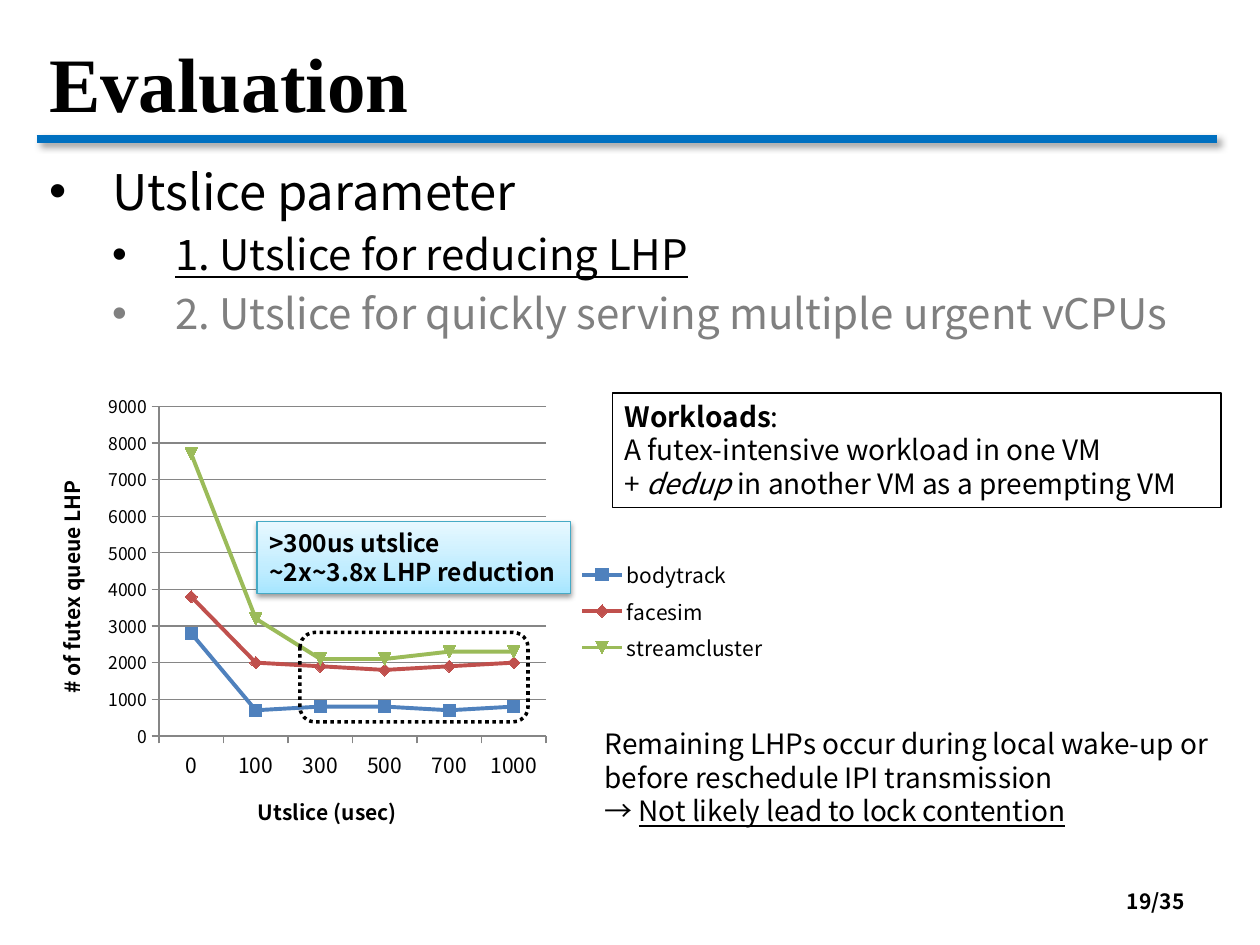
from lxml.etree import SubElement
from pptx import Presentation
from pptx.chart.data import CategoryChartData
from pptx.dml.color import RGBColor
from pptx.enum.chart import XL_CHART_TYPE, XL_LEGEND_POSITION, XL_TICK_MARK
from pptx.enum.dml import MSO_LINE
from pptx.enum.shapes import MSO_CONNECTOR, MSO_SHAPE
from pptx.enum.text import MSO_ANCHOR, MSO_AUTO_SIZE, PP_ALIGN
from pptx.oxml import parse_xml
from pptx.oxml.ns import qn
from pptx.util import Pt

SANS, SERIF = "Noto Sans CJK KR", "Times New Roman"
DRAWING = "http://schemas.openxmlformats.org/drawingml/2006/main"
BLACK, GREY, AXIS = "000000", "808080", "868686"


def color(value):
    return RGBColor.from_string(value)


def points(*lengths):
    return [Pt(length) for length in lengths]


def format_font(font, size, face=SANS, ink=BLACK, bold=False):
    font.size, font.name, font.bold = Pt(size), face, bold
    font.color.rgb = color(ink)


def add_text(paragraph, text, underline=False, italic=False, face=SANS, **style):
    run = paragraph.add_run()
    run.text = text
    format_font(run.font, face=face, **style)
    run.font.underline, run.font.italic = underline, italic
    SubElement(run.font._element, qn("a:ea"), typeface=face)


def fill_lines(frame, lines, **style):
    """Each line is a list of (text, own format) pairs."""
    for number, line in enumerate(lines):
        paragraph = frame.paragraphs[0] if number == 0 else frame.add_paragraph()
        paragraph.alignment = PP_ALIGN.LEFT
        for text, own in line:
            add_text(paragraph, text, **{**style, **own})


def set_shadow(shape, alpha=0, blur=0, distance=0, angle=0):
    """Without an alpha the shape gets no shadow."""
    effects = SubElement(shape._element.spPr, qn("a:effectLst"))
    if alpha:
        shadow = SubElement(effects, qn("a:outerShdw"), blurRad=str(Pt(blur)),
                            dist=str(Pt(distance)), dir=str(angle * 60000),
                            algn="ctr", rotWithShape="0")
        black = SubElement(shadow, qn("a:srgbClr"), val=BLACK)
        SubElement(black, qn("a:alpha"), val=str(alpha * 1000))


def add_panel(slide, box, width, ink=BLACK, kind=MSO_SHAPE.RECTANGLE):
    panel = slide.shapes.add_shape(kind, *points(*box))
    panel.fill.background()
    panel.line.color.rgb, panel.line.width = color(ink), Pt(width)
    return panel


def fit_text(shape, lines, **style):
    frame = shape.text_frame
    frame.word_wrap, frame.auto_size = False, MSO_AUTO_SIZE.SHAPE_TO_FIT_TEXT
    frame.vertical_anchor = MSO_ANCHOR.TOP
    fill_lines(frame, lines, **style)


def place(holder, box):
    holder.left, holder.top, holder.width, holder.height = points(*box)
    holder.text_frame.auto_size = MSO_AUTO_SIZE.NONE
    return holder.text_frame


def build_heading(slide, left, top, width, height):
    # Rule under the title
    rule_y = top + height - 3.6
    rule = slide.shapes.add_connector(MSO_CONNECTOR.STRAIGHT, *points(
        left, rule_y, left + width, rule_y))
    rule.line.color.rgb, rule.line.width = color("0070C0"), Pt(4.5)
    set_shadow(rule, 40, 4, 3, 45)
    # Title
    frame = place(slide.shapes.title, (left, top, width, height))
    frame.vertical_anchor = MSO_ANCHOR.MIDDLE
    fill_lines(frame, [[("Evaluation", {})]], size=44, face=SERIF, bold=True)


def build_topics(slide, box):
    frame = place(slide.placeholders[1], box)
    topics = [(0, "Utslice parameter", dict(size=28)),
              (1, "1. Utslice for reducing LHP", dict(size=24, underline=True)),
              (1, "2. Utslice for quickly serving multiple urgent vCPUs",
               dict(size=24, ink=GREY))]
    fill_lines(frame, [[(text, own)] for _, text, own in topics])
    for paragraph, (level, _, _) in zip(frame.paragraphs, topics):
        paragraph.level = level
        properties = paragraph._p.get_or_add_pPr()
        properties.set("marL", str(Pt(36 * (level + 1))))
        properties.set("indent", str(Pt(-36)))
        SubElement(properties, qn("a:buFont"), typeface="Arial")
        SubElement(properties, qn("a:buChar"), char="•")


def format_axis(axis, title, size):
    axis.has_title = True
    frame = axis.axis_title.text_frame
    add_text(frame.paragraphs[0], title, size=12, bold=True)
    format_font(axis.tick_labels.font, size)
    axis.major_tick_mark, axis.minor_tick_mark = XL_TICK_MARK.OUTSIDE, XL_TICK_MARK.NONE
    axis.format.line.color.rgb = color(AXIS)


def build_lhp_chart(slide, left, top, width, height):
    workloads = [("bodytrack", "4F81BD", (2800, 700, 800, 800, 700, 800)),
                 ("facesim", "C0504D", (3800, 2000, 1900, 1800, 1900, 2000)),
                 ("streamcluster", "9BBB59", (7700, 3200, 2100, 2100, 2300, 2300))]
    counts = CategoryChartData()
    counts.categories = ["0", "100", "300", "500", "700", "1000"]
    for name, _, values in workloads:
        counts.add_series(name, values)
    chart = slide.shapes.add_chart(XL_CHART_TYPE.LINE_MARKERS,
                                   *points(left, top, width, height), counts).chart
    format_font(chart.font, 10)
    chart.has_title = False
    chart.has_legend = True
    chart.legend.position = XL_LEGEND_POSITION.RIGHT
    chart.legend.include_in_layout = False
    format_font(chart.legend.font, 12)

    # Axes
    format_axis(chart.category_axis, "Utslice (usec)", 12)
    lhp_axis = chart.value_axis
    format_axis(lhp_axis, "# of futex queue LHP", 10)
    lhp_axis.minimum_scale, lhp_axis.maximum_scale, lhp_axis.major_unit = 0, 9000, 1000
    lhp_axis.has_major_gridlines = True
    lhp_axis.major_gridlines.format.line.color.rgb = color(AXIS)

    # Lines
    plot = chart.plots[0]
    plot.vary_by_categories = False
    for series, (_, ink, _) in zip(plot.series, workloads):
        series.smooth = False
        series.format.line.color.rgb, series.format.line.width = color(ink), Pt(2.25)
        marker = series.marker
        marker.size = 7
        marker.format.fill.solid()
        marker.format.fill.fore_color.rgb = color(ink)
        marker.format.line.color.rgb = color(ink)

    # Inner plot position, as fractions of the chart
    plot_area = chart._chartSpace.chart.plotArea
    for old in plot_area.findall(qn("c:layout")):
        plot_area.remove(old)
    layout = plot_area.makeelement(qn("c:layout"))
    plot_area.insert(0, layout)
    manual = SubElement(layout, qn("c:manualLayout"))
    for tag, value in [("layoutTarget", "inner"), ("xMode", "edge"), ("yMode", "edge"),
                       ("x", "0.166"), ("y", "0.051"), ("w", "0.52"), ("h", "0.723")]:
        SubElement(manual, qn("c:" + tag), val=value)


def build_workloads(slide, box):
    panel = add_panel(slide, box, 0.75)
    set_shadow(panel)
    fit_text(panel, [
        [("Workloads", dict(bold=True)), (":", {})],
        [("A futex-intensive workload in one VM", {})],
        [("+ ", {}), ("dedup", dict(italic=True)),
         (" in another VM as a preempting VM", {})]], size=16)


def build_callout(slide, box):
    callout = add_panel(slide, box, 0.75, "46AAC5")
    # Pale blue gradient, rising from the bottom edge
    stops = "".join(f'<a:gs pos="{at * 1000}"><a:srgbClr val="{ink}"/></a:gs>'
                    for at, ink in [(0, "A7E6FF"), (35, "C1EDFF"), (100, "E7F8FF")])
    properties = callout._element.spPr
    properties.replace(properties.find(qn("a:noFill")), parse_xml(
        f'<a:gradFill xmlns:a="{DRAWING}" rotWithShape="1"><a:gsLst>{stops}</a:gsLst>'
        '<a:lin ang="16200000" scaled="1"/></a:gradFill>'))
    set_shadow(callout, 38, 3.1, 1.6, 90)
    fit_text(callout, [[(">300us utslice", {})], [("~2x~3.8x LHP reduction", {})]],
             size=14, bold=True)


def build_highlight(slide, box):
    highlight = add_panel(slide, box, 2, kind=MSO_SHAPE.ROUNDED_RECTANGLE)
    highlight.line.dash_style = MSO_LINE.ROUND_DOT
    set_shadow(highlight)


def build_conclusion(slide, box):
    fit_text(slide.shapes.add_textbox(*points(*box)), [
        [("Remaining LHPs occur during local wake-up or", {})],
        [("before reschedule IPI transmission", {})],
        [("→ ", {}), ("Not likely lead to lock contention", dict(underline=True))]],
        size=16)


def build_page_number(slide, box):
    frame = slide.shapes.add_textbox(*points(*box)).text_frame
    frame.word_wrap, frame.vertical_anchor = True, MSO_ANCHOR.MIDDLE
    fill_lines(frame, [[("19/35", {})]], size=12, bold=True)
    frame.paragraphs[0].alignment = PP_ALIGN.RIGHT


deck = Presentation()
deck.slide_width, deck.slide_height = points(720, 540)
evaluation = deck.slides.add_slide(deck.slide_layouts[1])
build_heading(evaluation, 20.9, 10.1, 674.6, 72.7)
build_topics(evaluation, (20.9, 88.6, 674.6, 396.7))
build_lhp_chart(evaluation, 20.2, 218.9, 425.5, 260.6)
build_workloads(evaluation, (349.9, 224.6, 347.8, 65.5))
build_callout(evaluation, (146.9, 298.1, 179.3, 41))
build_highlight(evaluation, (171.4, 361.4, 130.3, 51.1))
build_conclusion(evaluation, (338.4, 411.8, 361.4, 65.5))
build_page_number(evaluation, (516.2, 500.4, 167.8, 28.8))
deck.save("out.pptx")
